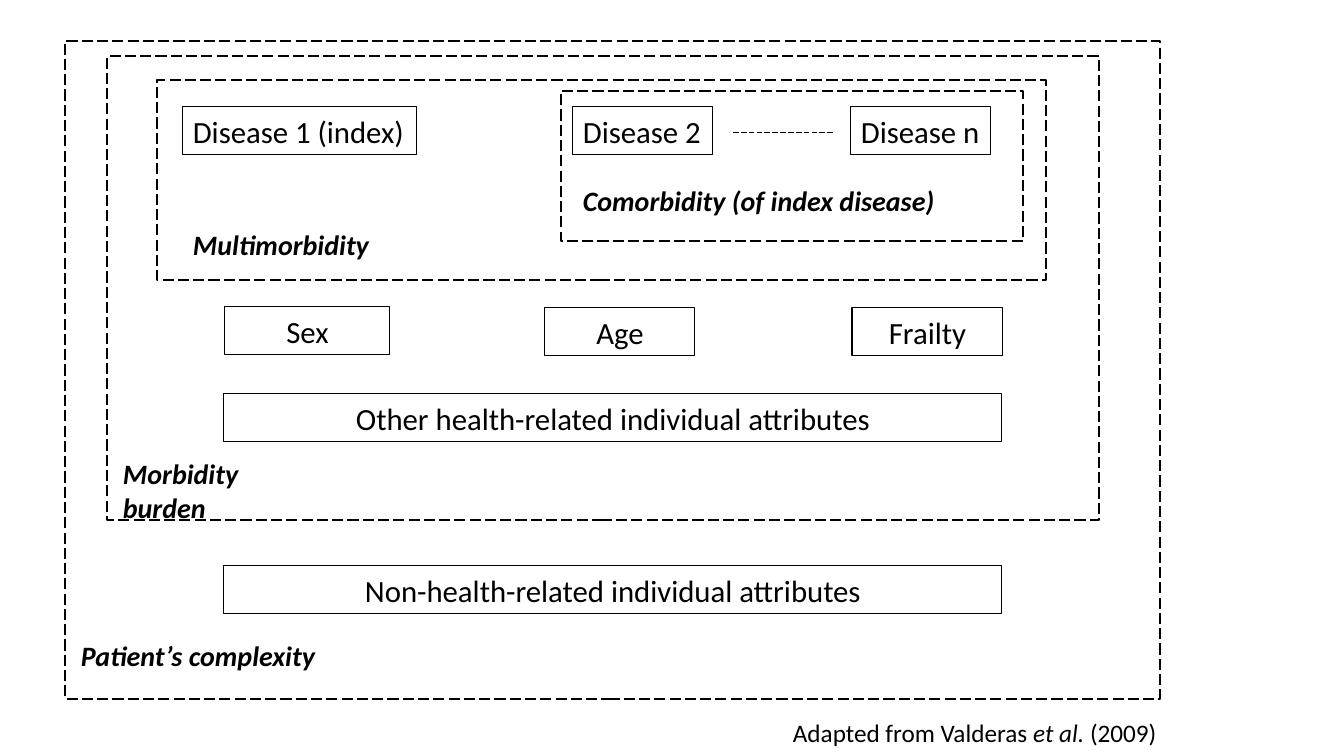
from dataclasses import dataclass

from lxml import etree
from pptx import Presentation
from pptx.dml.color import RGBColor
from pptx.enum import dml, shapes, text
from pptx.oxml.ns import qn
from pptx.util import Emu, Pt

SCALE = 914400 / 100.8  # EMU per pixel


def px(value):
    return Emu(round(value * SCALE))


@dataclass(frozen=True)
class Theme:
    font: str = "Calibri"
    ink: RGBColor = RGBColor(0, 0, 0)
    box_size: int = 22
    label_size: int = 20
    source_size: int = 18
    box_line: float = 0.75
    frame_line: float = 1
    link_line: float = 0.5


class Diagram:
    def __init__(self, slide, theme):
        self.slide = slide
        self.theme = theme

    def style_line(self, line, width, dashed=False):
        line.color.rgb = self.theme.ink
        line.width = Pt(width)
        if dashed:
            line.dash_style = dml.MSO_LINE.LONG_DASH

    def rectangle(self, left, top, width, height, line_width, dashed=False):
        shape = self.slide.shapes.add_shape(
            shapes.MSO_SHAPE.RECTANGLE, *map(px, (left, top, width, height)))
        shape.shadow.inherit = False
        shape.fill.background()
        self.style_line(shape.line, line_width, dashed)
        return shape

    def format_text(self, shape, size, align=text.PP_ALIGN.LEFT):
        frame = shape.text_frame
        frame.word_wrap = True
        if align == text.PP_ALIGN.LEFT:
            frame.margin_right = 0  # keeps tight wording on one line
        paragraph = frame.paragraphs[0]
        paragraph.alignment = align
        font = paragraph.font
        font.name, font.size = self.theme.font, Pt(size)
        font.color.rgb = self.theme.ink
        return paragraph

    def frame(self, left, top, width, height):
        self.rectangle(left, top, width, height, self.theme.frame_line, dashed=True)

    def box(self, wording, left, top, width, align=text.PP_ALIGN.CENTER):
        shape = self.rectangle(left, top, width, 48, self.theme.box_line)
        shape.text_frame.vertical_anchor = text.MSO_ANCHOR.MIDDLE
        self.format_text(shape, self.theme.box_size, align).add_run().text = wording

    def text_box(self, left, top, width, height, size):
        shape = self.slide.shapes.add_textbox(*map(px, (left, top, width, height)))
        return self.format_text(shape, size)

    def label(self, wording, left, top, width, height=44):
        paragraph = self.text_box(left, top, width, height, self.theme.label_size)
        paragraph.font.bold = paragraph.font.italic = True
        paragraph.text = wording

    def source(self, runs, left, top, width):
        paragraph = self.text_box(left, top, width, 40, self.theme.source_size)
        for wording, italic in runs:
            run = paragraph.add_run()
            run.text = wording
            run.font.italic = italic

    def link(self, left, right, y):
        connector = self.slide.shapes.add_connector(
            shapes.MSO_CONNECTOR.STRAIGHT, *map(px, (left, y, right, y)))
        self.style_line(connector.line, self.theme.link_line, dashed=True)
        etree.SubElement(connector._element.spPr, qn("a:effectLst"))


presentation = Presentation()
presentation.slide_width, presentation.slide_height = px(1344), px(756)
slide = presentation.slides.add_slide(presentation.slide_layouts[6])
diagram = Diagram(slide, Theme())

# Diseases
for wording, left, width in (
        ("Disease 1 (index)", 183, 234), ("Disease 2", 573, 140), ("Disease n", 851, 140)):
    diagram.box(wording, left, 107, width, text.PP_ALIGN.LEFT)
diagram.link(733, 833, 132)

# Individual attributes
for wording, left, top, width in (
        ("Sex", 225, 307, 165), ("Age", 545, 308, 150), ("Frailty", 852, 308, 151),
        ("Other health-related individual attributes", 224, 394, 778),
        ("Non-health-related individual attributes", 224, 566, 778)):
    diagram.box(wording, left, top, width)

# Nested frames, from inner to outer
for bounds in ((561, 91, 462, 150), (157, 80, 889, 200),
               (107, 56, 992, 464), (65, 41, 1095, 658)):
    diagram.frame(*bounds)

# Frame names
diagram.label("Comorbidity (of index disease)", 573, 179, 374)
diagram.label("Multimorbidity", 183, 223, 198)
diagram.label("Morbidity\vburden", 113, 452, 224, 77)
diagram.label("Patient’s complexity", 71, 634, 266)

# Source
diagram.source((("Adapted from Valderas ", False), ("et al. ", True), ("(2009)", False)),
               783, 712, 388)

presentation.save("out.pptx")
